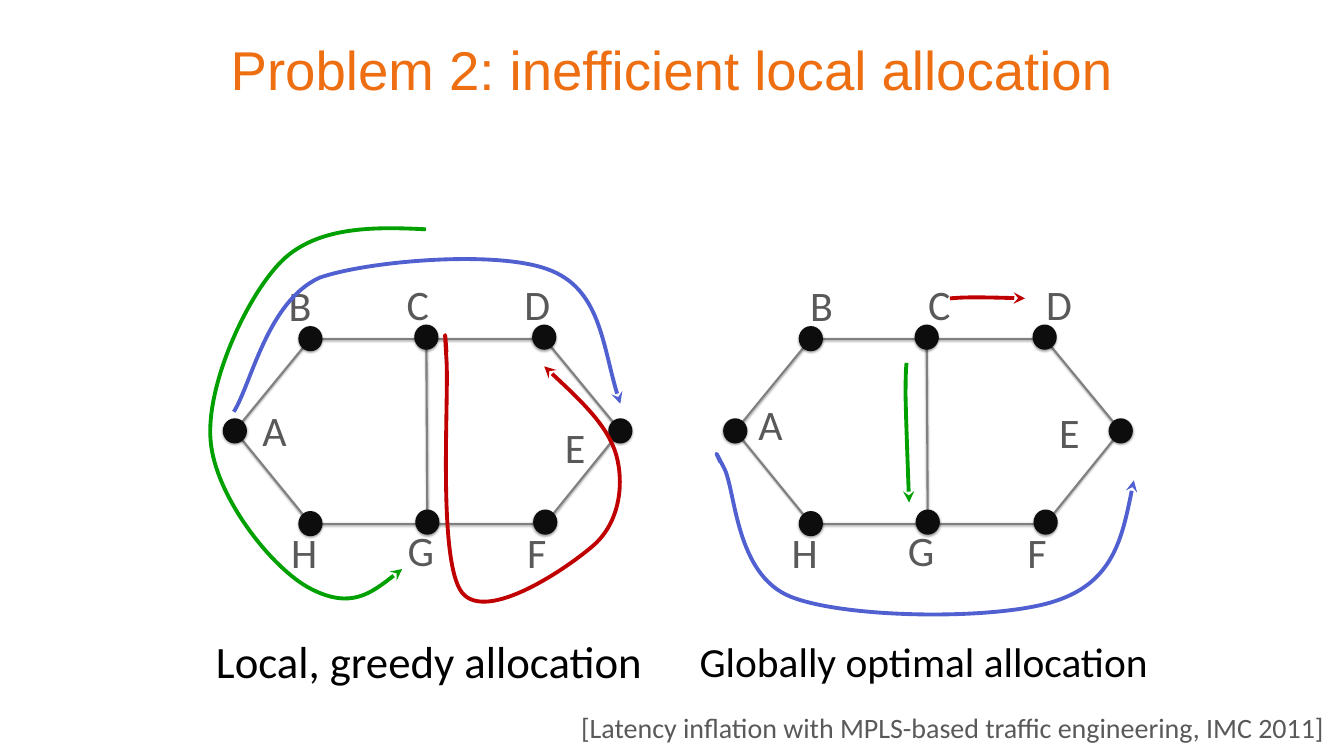
import pptx
import pptx.util
import pptx.dml.color
import pptx.enum.shapes
import pptx.enum.text
import pptx.oxml.ns
import lxml.etree

COLUMNS, ROWS = 26.67, 15
GREY, BLACK, EDGE, DOT = "595959", "000000", "808080", "0D0D0D"
BLUE, RED, GREEN, ORANGE = "5060D0", "C00000", "00A000", "EE6E12"

JUNCTIONS = {"A": (4.66, 8.55), "B": (6.16, 6.72), "C": (8.46, 6.72), "D": (10.8, 6.72),
             "E": (12.31, 8.55), "F": (10.82, 10.39), "G": (8.48, 10.39), "H": (6.16, 10.39)}
LINKS = ["AB", "BC", "CD", "DE", "EF", "FG", "GH", "HA", "CG"]
GRAPH_SHIFT = 9.93
UPPER_LABEL_SHIFT = 10.35

LOCAL_LABELS = {"A": (5.11, 7.98), "B": (5.63, 5.5), "C": (7.97, 5.48), "D": (10.31, 5.48),
                "E": (11.11, 8.31), "F": (10.36, 10.39), "G": (7.99, 10.35), "H": (5.68, 10.39)}
GLOBAL_LABELS = {name: (x + (UPPER_LABEL_SHIFT if name in "BCD" else GRAPH_SHIFT), y)
                 for name, (x, y) in LOCAL_LABELS.items()}
GLOBAL_LABELS.update({"A": (14.95, 7.86), "E": (20.92, 8.02)})

LOCAL_FLOWS = [
    (BLUE, [(4.64, 8.17), (4.99, 7.61), (5.3, 5.99), (6.34, 5.51), (7.28, 5.18), (9.82, 4.96),
            (10.86, 5.34), (11.91, 5.71), (11.96, 6.98), (12.31, 8.01)]),
    (RED, [(8.86, 6.99), (8.84, 6.67), (8.81, 6.35), (8.86, 7.14), (8.91, 7.94), (8.68, 11.14),
           (9.17, 11.76), (9.66, 12.37), (11.28, 11.26), (11.79, 10.81), (12.29, 10.36),
           (12.39, 9.62), (12.23, 9.03), (12.06, 8.44), (11.43, 7.86), (10.8, 7.27)]),
    (GREEN, [(8.45, 4.55), (7.45, 4.5), (6.3, 4.48), (5.59, 5.18), (4.88, 5.89), (4.08, 7.67),
             (4.18, 8.75), (4.27, 9.84), (5.39, 11.29), (6.18, 11.69), (6.97, 12.09),
             (7.48, 11.69), (7.98, 11.29)])]
GLOBAL_FLOWS = [
    (BLUE, [(14.3, 9.18), (14.22, 9.01), (14.14, 8.84), (14.37, 9.29), (14.6, 9.73), (14.59, 11.4),
            (15.69, 11.84), (16.79, 12.28), (19.83, 12.31), (20.96, 11.92), (22.1, 11.54),
            (22.3, 10.53), (22.5, 9.53)]),
    (RED, [(18.85, 5.92), (18.98, 5.91), (19.1, 5.9), (19.35, 5.9), (19.6, 5.9), (19.97, 5.91),
           (20.34, 5.92)]),
    (GREEN, [(17.99, 7.2), (17.98, 7.3), (17.97, 7.4), (17.97, 7.86), (17.98, 8.32),
             (18.01, 9.14), (18.04, 9.97)])]


def rgb(code):
    return pptx.dml.color.RGBColor.from_string(code)


def add_child(parent, tag, **attributes):
    return lxml.etree.SubElement(parent, pptx.oxml.ns.qn(tag), attributes)


def bezier(points, t):
    weights = ((1 - t) ** 3, 3 * t * (1 - t) ** 2, 3 * t ** 2 * (1 - t), t ** 3)
    return tuple(sum(w * p[axis] for w, p in zip(weights, points)) for axis in (0, 1))


class Painter:
    font = "Calibri"
    align = pptx.enum.text.PP_ALIGN
    fit = pptx.enum.text.MSO_AUTO_SIZE

    def __init__(self, deck, layout):
        self.cell = deck.slide_height / ROWS
        self.slide = deck.slides.add_slide(deck.slide_layouts[layout])

    def units(self, *cells):
        return [round(value * self.cell) for value in cells]

    def style_text(self, box, text, size, color, align, insets=(0.1, 0.05), font=None,
                   anchor=pptx.enum.text.MSO_ANCHOR.TOP, fit=fit.NONE):
        frame = box.text_frame
        frame.text = text
        frame.word_wrap = True
        frame.auto_size = fit
        frame.vertical_anchor = anchor
        frame.margin_left = frame.margin_right = self.units(insets[0])[0]
        frame.margin_top = frame.margin_bottom = self.units(insets[1])[0]
        paragraph = frame.paragraphs[0]
        paragraph.alignment = align
        paragraph.space_before = pptx.util.Pt(0)
        for run in paragraph.runs:
            run.font.name = font or self.font
            run.font.size = pptx.util.Pt(size)
            run.font.bold = False
            run.font.color.rgb = rgb(color)
        return paragraph

    def placeholder(self, index, place, text, size, color, **style):
        box = self.slide.placeholders[index]
        box.left, box.top, box.width, box.height = self.units(*place)
        return self.style_text(box, text, size, color, self.align.CENTER, **style)

    def text(self, place, text, size, align=align.LEFT, **style):
        box = self.slide.shapes.add_textbox(*self.units(*place))
        return self.style_text(box, text, size, GREY, align, fit=self.fit.SHAPE_TO_FIT_TEXT, **style)

    def soft_shadow(self, shape):
        effects = add_child(shape._element.spPr, "a:effectLst")
        shadow = add_child(effects, "a:outerShdw", blurRad="39370", dist="22860",
                           dir="5400000", rotWithShape="0")
        add_child(add_child(shadow, "a:srgbClr", val=BLACK), "a:alpha", val="35000")

    def link(self, start, end):
        line = self.slide.shapes.add_connector(
            pptx.enum.shapes.MSO_CONNECTOR.STRAIGHT, *self.units(*start, *end))
        line.line.color.rgb = rgb(EDGE)
        line.line.width = pptx.util.Pt(3)
        self.soft_shadow(line)

    def dots(self, centres, width=0.48, height=0.5):
        group = self.slide.shapes.add_group_shape()
        for x, y in centres:
            dot = group.shapes.add_shape(
                pptx.enum.shapes.MSO_SHAPE.OVAL,
                *self.units(x - width / 2, y - height / 2, width, height))
            dot.fill.solid()
            dot.fill.fore_color.rgb = rgb(DOT)
            dot.line.fill.background()
            self.soft_shadow(dot)

    def flow(self, color, points, steps=40):
        points = [tuple(self.units(*point)) for point in points]
        pieces = [points[i:i + 4] for i in range(0, len(points) - 1, 3)]
        samples = [bezier(piece, step / steps) for piece in pieces for step in range(1, steps + 1)]
        builder = self.slide.shapes.build_freeform(*points[0], scale=1.0)
        builder.add_line_segments(samples, close=False)
        arrow = builder.convert_to_shape()
        outline = next(arrow._element.iter(pptx.oxml.ns.qn("a:path")))
        for segment in outline.findall(pptx.oxml.ns.qn("a:lnTo")):
            outline.remove(segment)
        for piece in pieces:
            curve = add_child(outline, "a:cubicBezTo")
            for x, y in piece[1:]:
                add_child(curve, "a:pt", x=str(x - arrow.left), y=str(y - arrow.top))
        arrow.fill.background()
        arrow.line.color.rgb = rgb(color)
        arrow.line.width = pptx.util.Pt(5.5)
        add_child(arrow._element.spPr.find(pptx.oxml.ns.qn("a:ln")), "a:tailEnd", type="stealth")
        arrow.shadow.inherit = False

    def network(self, shift, labels, flows):
        junctions = {name: (x + shift, y) for name, (x, y) in JUNCTIONS.items()}
        for start, end in LINKS:
            self.link(junctions[start], junctions[end])
        self.dots([(x, y - (0.03 if name in "CDFG" else 0)) for name, (x, y) in junctions.items()])
        for name, corner in labels.items():
            self.text((*corner, 0.97, 1.11), name, 60)
        for color, points in flows:
            self.flow(color, points)

    def drop_empty_placeholders(self):
        for box in list(self.slide.placeholders):
            if not box.text_frame.text:
                box._element.getparent().remove(box._element)


def main():
    deck = pptx.Presentation()
    deck.slide_width = pptx.util.Inches(COLUMNS)
    deck.slide_height = pptx.util.Inches(ROWS)
    painter = Painter(deck, layout=4)
    painter.placeholder(0, (3.33, 0, 20, 2.73), "Problem 2: inefficient local allocation", 78, ORANGE,
                        font="Arial", insets=(0.08, 0.08), anchor=pptx.enum.text.MSO_ANCHOR.MIDDLE)
    painter.placeholder(1, (3.04, 12.53, 10.94, 1.4), "Local, greedy allocation", 64, BLACK)
    painter.placeholder(3, (13.33, 12.53, 10, 1.5), "Globally optimal allocation", 59.2, BLACK,
                        insets=(0.2, 0.1))
    painter.drop_empty_placeholders()
    painter.network(0, LOCAL_LABELS, LOCAL_FLOWS)
    painter.network(GRAPH_SHIFT, GLOBAL_LABELS, GLOBAL_FLOWS)
    citation = painter.text(
        (7.85, 13.87, 18.82, 1.25),
        "[Latency inflation with MPLS-based traffic engineering, IMC 2011]", 40,
        align=painter.align.RIGHT, insets=(0.4, 0.32))
    citation.line_spacing = 0.9
    citation.space_after = pptx.util.Pt(12)
    deck.save("out.pptx")


if __name__ == "__main__":
    main()
